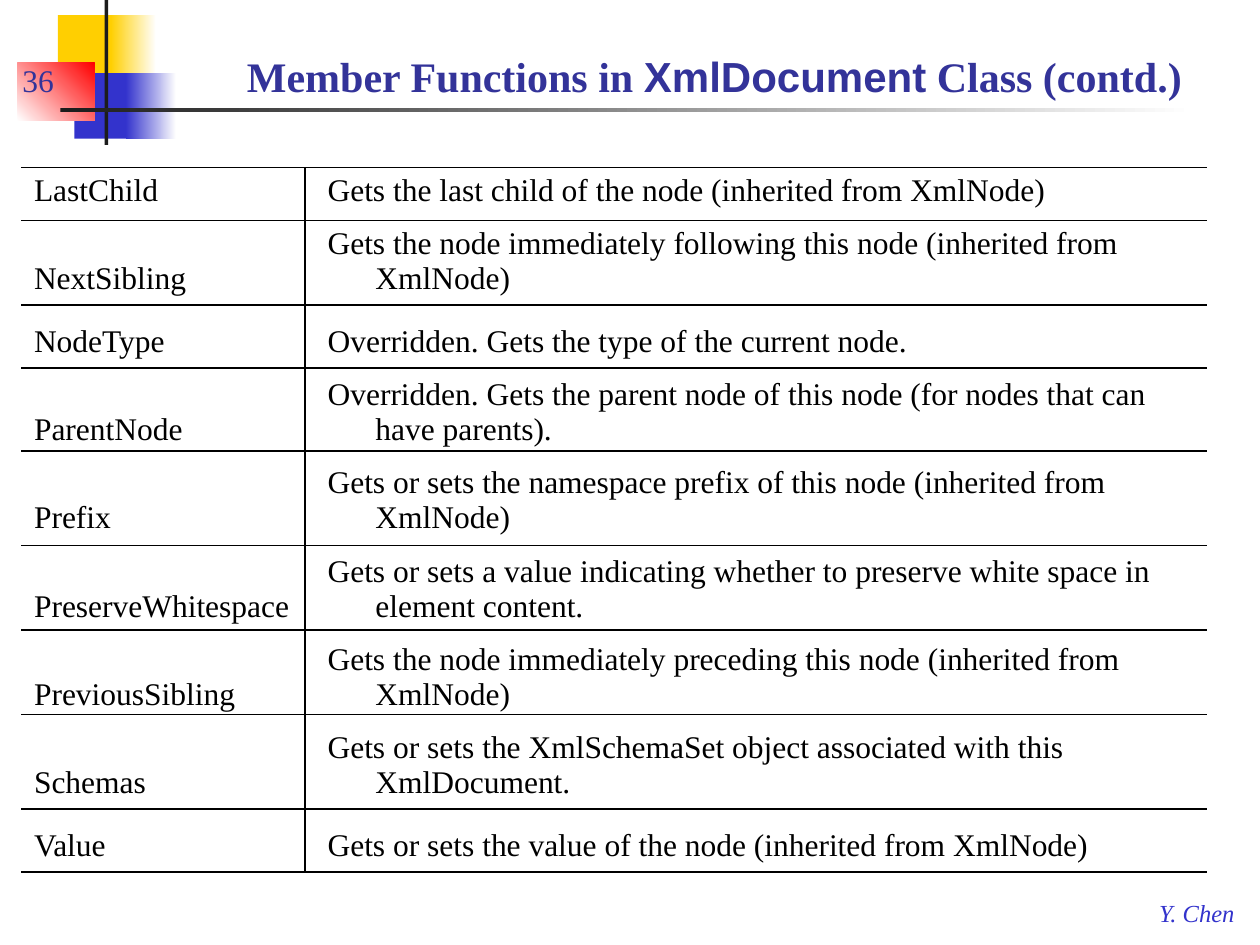
from dataclasses import dataclass

from pptx import Presentation
from pptx.dml.color import RGBColor
from pptx.enum.shapes import MSO_CONNECTOR as Connector, MSO_SHAPE as Shape
from pptx.enum.text import MSO_ANCHOR as Anchor, PP_ALIGN as Align
from pptx.oxml.ns import qn
from pptx.util import Inches, Pt


@dataclass(frozen=True)
class Theme:
    serif: str = "Times New Roman"
    sans: str = "Arial"
    yellow: str = "FFCF01"
    blue: str = "3333CC"
    red: str = "FF0000"
    dark: str = "1C1C1C"
    white: str = "FFFFFF"
    black: str = "000000"
    heading: str = "333399"
    title_size: int = 24
    body_size: int = 18
    footer_size: int = 14
    rule_width: float = 0.75


THEME = Theme()
PLAIN_TABLE_STYLE = "{2D5ABB26-0587-4C30-8999-92F81FD0307C}"  # no style, no grid

MEMBERS = [
    ("LastChild", "Gets the last child of the node (inherited from XmlNode)"),
    ("NextSibling", "Gets the node immediately following this node (inherited from XmlNode)"),
    ("NodeType", "Overridden. Gets the type of the current node."),
    ("ParentNode", "Overridden. Gets the parent node of this node (for nodes that can have parents)."),
    ("Prefix", "Gets or sets the namespace prefix of this node (inherited from XmlNode)"),
    ("PreserveWhitespace", "Gets or sets a value indicating whether to preserve white space in element content."),
    ("PreviousSibling", "Gets the node immediately preceding this node (inherited from XmlNode)"),
    ("Schemas", "Gets or sets the XmlSchemaSet object associated with this XmlDocument."),
    ("Value", "Gets or sets the value of the node (inherited from XmlNode)"),
]
COLUMN_WIDTHS = [2.33, 7.08]
ROW_HEIGHTS = [1.12, 0.7, 0.5, 0.7, 0.7, 0.7, 0.7, 0.7, 0.5]
RULE_TOPS = [1.33, 1.75, 2.42, 2.92, 3.58, 4.33, 5, 5.67, 6.42, 6.92]
DIVIDER_LEFT = 2.42


def add_span(para, text, *, size=THEME.body_size, color=THEME.black,
             font=THEME.serif, bold=False, italic=False):
    span = para.add_run()
    span.text = text
    span.font.name = font
    span.font.size = Pt(size)
    span.font.bold = bold
    span.font.italic = italic
    span.font.color.rgb = RGBColor.from_string(color)


def add_text_box(page, box, *, anchor=Anchor.TOP, align=Align.LEFT, wrap=True):
    """Add an empty text box and return its first paragraph."""
    frame = page.shapes.add_textbox(*map(Inches, box)).text_frame
    frame.word_wrap = wrap
    frame.vertical_anchor = anchor
    frame.paragraphs[0].alignment = align
    return frame.paragraphs[0]


def add_block(page, box, start, end=None, angle=0):
    """Add a rectangle, filled plainly or with a gradient from start to end."""
    block = page.shapes.add_shape(Shape.RECTANGLE, *map(Inches, box))
    block.shadow.inherit = False
    block.line.fill.background()
    if end is None:
        block.fill.solid()
        block.fill.fore_color.rgb = RGBColor.from_string(start)
        return
    block.fill.gradient()
    block.fill.gradient_angle = angle
    for stop, color, position in zip(block.fill.gradient_stops, (start, end), (0, 1)):
        stop.color.rgb = RGBColor.from_string(color)
        stop.position = position


def add_rule(page, left, top, right, bottom):
    rule = page.shapes.add_connector(
        Connector.STRAIGHT, *map(Inches, (left, top, right, bottom)))
    rule.line.color.rgb = RGBColor.from_string(THEME.black)
    rule.line.width = Pt(THEME.rule_width)
    properties = rule._element.spPr
    properties.append(properties.makeelement(qn("a:effectLst"), {}))


def clear_borders(cell):
    """Turn off all four borders, which must come before the cell's fill."""
    properties = cell._tc.get_or_add_tcPr()
    for index, side in enumerate(("a:lnL", "a:lnR", "a:lnT", "a:lnB")):
        border = properties.makeelement(qn(side), {"w": "0"})
        border.append(border.makeelement(qn("a:noFill"), {}))
        properties.insert(index, border)


def add_ornament(page, box):
    """Coloured blocks and the two dark bars behind the heading."""
    left, top, width, height = box
    add_block(page, (left + 0.32, top + 0.12, 0.48, 0.52), THEME.yellow)
    add_block(page, (left + 0.74, top + 0.12, 0.36, 0.52), THEME.yellow, THEME.white)
    add_block(page, (left + 0.45, top + 0.58, 0.46, 0.52), THEME.blue)
    add_block(page, (left + 0.86, top + 0.58, 0.4, 0.52), THEME.blue, THEME.white)
    add_block(page, (left, top + 0.5, 0.61, 0.46), THEME.white, THEME.red, angle=45)
    add_block(page, (left + 0.69, top, 0.03, height), THEME.dark)
    add_block(page, (left + 0.34, top + 0.86, width - 0.34, 0.03), THEME.dark, THEME.white)


def add_title(page, box):
    para = add_text_box(page, box, anchor=Anchor.BOTTOM, align=Align.CENTER)
    for text, font in [("Member Functions in ", THEME.serif),
                       ("XmlDocument", THEME.sans),
                       (" Class (contd.)", THEME.serif)]:
        add_span(para, text, size=THEME.title_size, color=THEME.heading, font=font, bold=True)


def add_page_number(page, box):
    para = add_text_box(page, box, anchor=Anchor.BOTTOM)
    add_span(para, "36", color=THEME.heading)


def add_footer(page, box):
    para = add_text_box(page, box, wrap=False)
    add_span(para, "Y. Chen", size=THEME.footer_size, color=THEME.blue, italic=True)


def add_member_table(page, box):
    """Table of members, with its ruled lines drawn over it."""
    left, _, width, _ = box
    table = page.shapes.add_table(
        len(MEMBERS), len(COLUMN_WIDTHS), *map(Inches, box)).table
    table.first_row = False
    table.horz_banding = False
    table._tbl.tblPr.find(qn("a:tableStyleId")).text = PLAIN_TABLE_STYLE
    for column, column_width in zip(table.columns, COLUMN_WIDTHS):
        column.width = Inches(column_width)
    for row, row_height, member in zip(table.rows, ROW_HEIGHTS, MEMBERS):
        row.height = Inches(row_height)
        for cell, text in zip(row.cells, member):
            cell.fill.background()
            clear_borders(cell)
            cell.vertical_anchor = Anchor.BOTTOM
            para = cell.text_frame.paragraphs[0]
            hanging = para._p.get_or_add_pPr()
            hanging.set("marL", str(Inches(0.38)))
            hanging.set("indent", str(Inches(-0.38)))
            add_span(para, text)

    # Ruled lines
    for top in RULE_TOPS:
        add_rule(page, left, top, left + width, top)
    add_rule(page, DIVIDER_LEFT, RULE_TOPS[0], DIVIDER_LEFT, RULE_TOPS[-1])


def main():
    deck = Presentation()
    deck.slide_width, deck.slide_height = Inches(10), Inches(7.5)
    page = deck.slides.add_slide(deck.slide_layouts[6])
    add_ornament(page, (0.14, 0, 9.34, 1.15))
    add_footer(page, (9.1, 7.08, 0.82, 0.33))
    add_page_number(page, (0.08, 0.33, 2.08, 0.5))
    add_title(page, (1.42, 0.17, 8.5, 0.68))
    add_member_table(page, (0.17, 0.58, sum(COLUMN_WIDTHS), sum(ROW_HEIGHTS)))
    deck.save("out.pptx")


if __name__ == "__main__":
    main()
